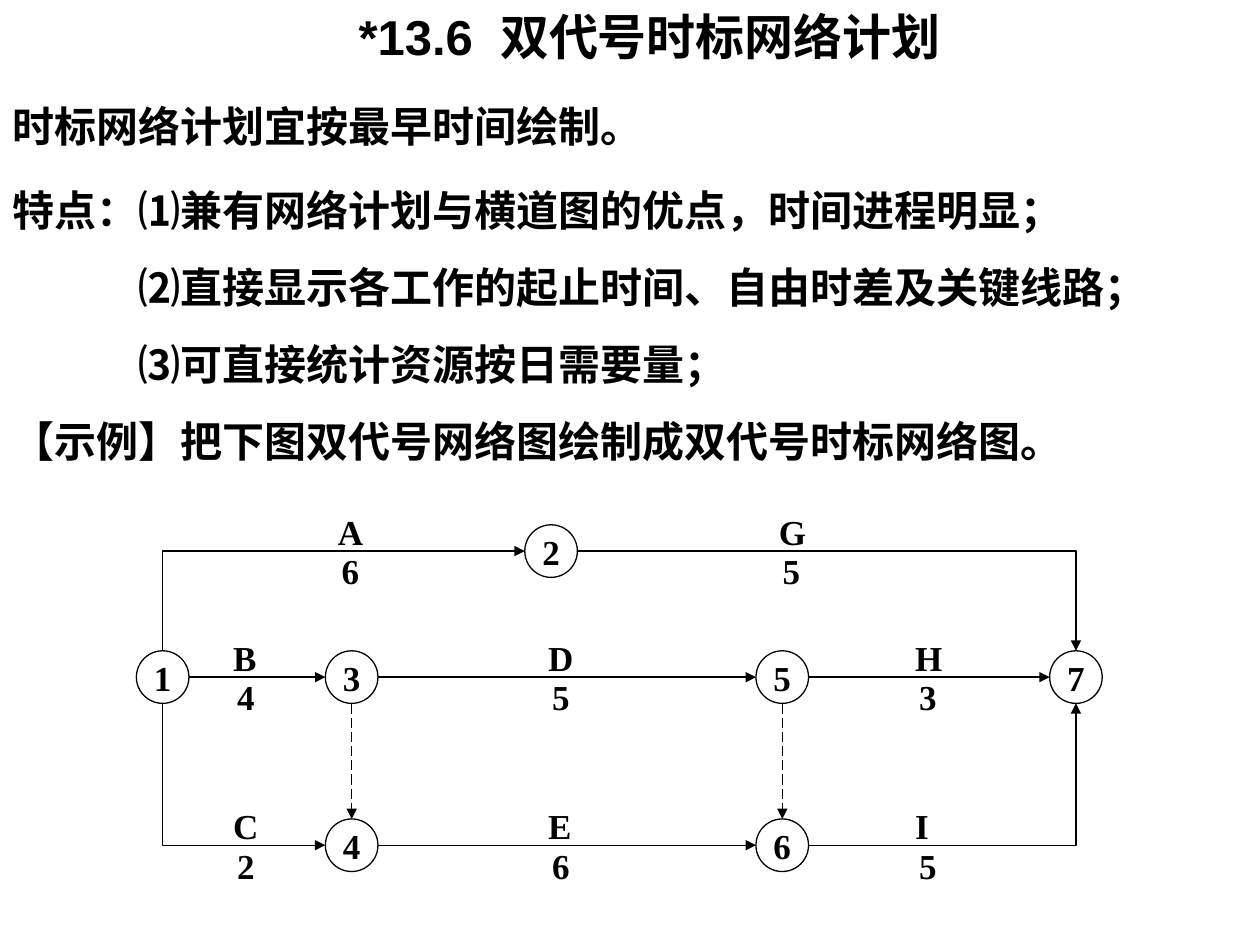
from dataclasses import dataclass

from lxml import etree
from pptx import Presentation
from pptx.dml.color import RGBColor
from pptx.enum.dml import MSO_LINE
from pptx.enum.shapes import MSO_CONNECTOR, MSO_SHAPE
from pptx.enum.text import MSO_ANCHOR, MSO_AUTO_SIZE, PP_ALIGN
from pptx.oxml.ns import qn
from pptx.util import Cm, Pt

OVAL = MSO_SHAPE.OVAL
STRAIGHT, ELBOW = MSO_CONNECTOR.STRAIGHT, MSO_CONNECTOR.ELBOW
DASH = MSO_LINE.LONG_DASH
GROW = MSO_AUTO_SIZE.SHAPE_TO_FIT_TEXT
MIDDLE, CENTER = MSO_ANCHOR.MIDDLE, PP_ALIGN.CENTER

TOP, LEFT, BOTTOM, RIGHT = range(4)
BLACK = "000000"
SANS, SERIF = "Arial", "Times New Roman"
SIZE = 1.06
HIGH, MID, LOW = 11.11, 13.65, 17.04


@dataclass
class Node:
    name: str
    x: float
    y: float


@dataclass
class Link:
    start: str
    out: int
    end: str
    into: int
    bent: bool = False
    dashed: bool = False
    back: bool = False  # drawn from its end, so the arrowhead sits at the start


@dataclass
class Task:
    name: str
    days: str
    x: float
    y: float


@dataclass
class Block:
    x: float
    y: float
    w: float
    h: float
    lines: list[str]


NODES = [
    Node("1", 3.28, MID), Node("2", 11.11, HIGH), Node("3", 7.09, MID),
    Node("4", 7.09, LOW), Node("5", 15.77, MID), Node("6", 15.77, LOW),
    Node("7", 21.69, MID),
]
LINKS = [
    Link("1", RIGHT, "3", LEFT),
    Link("3", RIGHT, "5", LEFT),
    Link("5", RIGHT, "7", LEFT),
    Link("4", RIGHT, "6", LEFT),
    Link("3", BOTTOM, "4", TOP, dashed=True),
    Link("5", BOTTOM, "6", TOP, dashed=True),
    Link("2", LEFT, "1", TOP, bent=True, back=True),
    Link("4", LEFT, "1", BOTTOM, bent=True, back=True),
    Link("2", RIGHT, "7", TOP, bent=True),
    Link("6", RIGHT, "7", BOTTOM, bent=True),
]
TASKS = [
    Task("A", "6", 6.56, HIGH), Task("G", "5", 15.45, HIGH),
    Task("B", "4", 4.45, MID), Task("D", "5", 10.8, MID), Task("H", "3", 18.2, MID),
    Task("C", "2", 4.45, LOW), Task("E", "6", 10.8, LOW), Task("I", "5", 18.2, LOW),
]
BLOCKS = [
    Block(0, 1.9, 13.97, 1.28, ["时标网络计划宜按最早时间绘制。"]),
    Block(0, 3.6, 3.39, 1.28, ["特点："]),
    Block(2.54, 3.6, 21.59, 4.37, [
        "⑴兼有网络计划与横道图的优点，时间进程明显；",
        "⑵直接显示各工作的起止时间、自由时差及关键线路；",
        "⑶可直接统计资源按日需要量；",
    ]),
    Block(0, 8.25, 23.5, 1.28, ["【示例】把下图双代号网络图绘制成双代号时标网络图。"]),
]


def tint(color, code: str) -> None:
    color.rgb = RGBColor.from_string(code)


def style(frame, size: float, face: str) -> None:
    for para in frame.paragraphs:
        for run in para.runs:
            run.font.size, run.font.name, run.font.bold = Pt(size), face, True
            tint(run.font.color, BLACK)


def write(slide, block: Block, size: float, face: str):
    box = slide.shapes.add_textbox(Cm(block.x), Cm(block.y), Cm(block.w), Cm(block.h))
    frame = box.text_frame
    frame.word_wrap, frame.auto_size = True, GROW
    frame.text = "\n".join(block.lines)
    for para in frame.paragraphs[1:]:
        para.space_before = Pt(15)
    style(frame, size, face)
    return frame


def title(slide) -> None:
    """Write the heading with a wide gap after its number."""
    frame = write(slide, Block(6.98, 0, 13.77, 1.45, ["*13.6"]), 28, SANS)
    para = frame.paragraphs[0]
    gap, name = para.add_run(), para.add_run()
    gap.text, name.text = " ", "双代号时标网络计划"
    style(frame, 28, SANS)
    gap.font._element.set("spc", "780")


def ring(slide, node: Node):
    half = SIZE / 2
    oval = slide.shapes.add_shape(
        OVAL, Cm(node.x - half), Cm(node.y - half), Cm(SIZE), Cm(SIZE))
    oval.shadow.inherit = False
    oval.fill.background()
    oval.line.width = Pt(0.75)
    tint(oval.line.color, BLACK)
    frame = oval.text_frame
    frame.margin_left = frame.margin_right = frame.margin_top = frame.margin_bottom = 0
    frame.word_wrap, frame.vertical_anchor = False, MIDDLE
    frame.text = node.name
    frame.paragraphs[0].alignment = CENTER
    style(frame, 20, SERIF)
    return oval


def join(slide, link: Link, rings: dict) -> None:
    line = slide.shapes.add_connector(ELBOW if link.bent else STRAIGHT, 0, 0, 0, 0)
    line.begin_connect(rings[link.start], link.out)
    line.end_connect(rings[link.end], link.into)
    # An oval has eight connection sites, so each side is every second one.
    for tag in ("a:stCxn", "a:endCxn"):
        site = next(line._element.iter(qn(tag)))
        site.set("idx", str(int(site.get("idx")) * 2))
    line.line.width = Pt(0.75)
    tint(line.line.color, BLACK)
    if link.dashed:
        line.line.dash_style = DASH
    props = line._element.spPr
    if link.bent:
        props.find(qn("a:prstGeom")).set("prst", "bentConnector2")
    tip = "a:headEnd" if link.back else "a:tailEnd"
    etree.SubElement(props.find(qn("a:ln")), qn(tip), type="triangle")
    etree.SubElement(props, qn("a:effectLst"))


def main() -> None:
    deck = Presentation()
    deck.slide_width, deck.slide_height = Cm(25.4), Cm(19.05)
    slide = deck.slides.add_slide(deck.slide_layouts[6])
    title(slide)
    for block in BLOCKS:
        write(slide, block, 24, SANS)
    rings = {node.name: ring(slide, node) for node in NODES}
    for link in LINKS:
        join(slide, link, rings)
    for task in TASKS:
        write(slide, Block(task.x, task.y - 0.95, 1.27, 1.11, [task.name]), 20, SERIF)
        write(slide, Block(task.x + 0.08, task.y - 0.15, 1.06, 1.11, [task.days]), 20, SERIF)
    deck.save("out.pptx")


if __name__ == "__main__":
    main()
